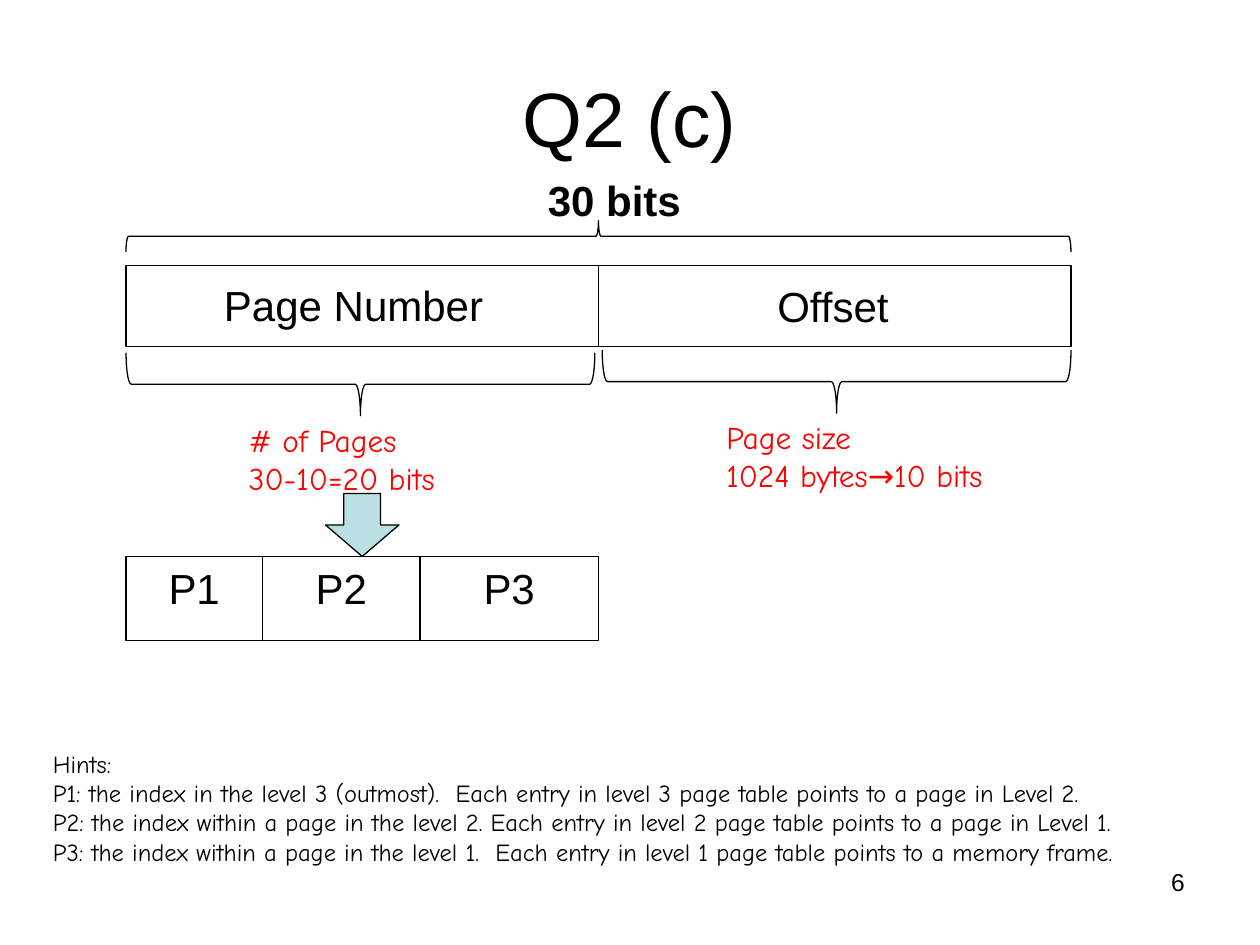
import itertools

import pptx
import pptx.dml.color
import pptx.enum.shapes
import pptx.enum.text
import pptx.oxml
import pptx.util

BLACK = pptx.dml.color.RGBColor(0x00, 0x00, 0x00)
RED = pptx.dml.color.RGBColor(0xFF, 0x00, 0x00)
TEAL = pptx.dml.color.RGBColor(0xBB, 0xE0, 0xE3)
SANS = "Arial"
HAND = "Comic Neue"
SHAPE = pptx.enum.shapes.MSO_SHAPE
ALIGN = pptx.enum.text.PP_ALIGN
ANCHOR = pptx.enum.text.MSO_ANCHOR
EFFECTS = ('<a:effectLst xmlns:a='
           '"http://schemas.openxmlformats.org/drawingml/2006/main"/>')


def grid(*cells):
    """Turn counts of grid cells, twelve to the inch, into lengths."""
    return [pptx.util.Inches(n / 12) for n in cells]


def write(tf, lines, size, font=SANS, color=BLACK, bold=False,
          align=ALIGN.LEFT, anchor=ANCHOR.TOP, wrap=False):
    """Fill a text frame with one paragraph per line."""
    tf.word_wrap = wrap
    tf.vertical_anchor = anchor
    for i, line in enumerate(lines):
        p = tf.add_paragraph() if i else tf.paragraphs[0]
        p.text = line
        p.alignment = align
        p.font.size = pptx.util.Pt(size)
        p.font.name = font
        p.font.bold = bold
        p.font.color.rgb = color


def add_text(s, box, lines, size, **style):
    """Add a text box."""
    write(s.shapes.add_textbox(*grid(*box)).text_frame, lines, size, **style)


def add_outline(s, kind, box, fill=None):
    """Add a preset shape with a thin black outline."""
    sp = s.shapes.add_shape(kind, *grid(*box))
    sp.shadow.inherit = False
    sp.line.color.rgb = BLACK
    sp.line.width = pptx.util.Pt(0.75)
    if fill is None:
        sp.fill.background()
    else:
        sp.fill.solid()
        sp.fill.fore_color.rgb = fill
    return sp


def add_brace(s, left, top, width, height, rotation):
    """Add a horizontal brace that covers the given box once turned."""
    shift = (width - height) / 2
    sp = add_outline(s, SHAPE.RIGHT_BRACE,
                     (left + shift, top - shift, height, width))
    sp.rotation = rotation
    sp.adjustments[0] = 0.083


def add_divider(s, x, top, bottom):
    """Add a thin vertical line."""
    line = s.shapes.add_connector(
        pptx.enum.shapes.MSO_CONNECTOR.STRAIGHT, *grid(x, top, x, bottom))
    line.line.color.rgb = BLACK
    line.line.width = pptx.util.Pt(0.75)
    line._element.spPr.append(pptx.oxml.parse_xml(EFFECTS))


def add_address(s):
    """Draw the address bar with its two fields and the total width."""
    add_brace(s, 12, 21, 90, 3, 270)
    add_text(s, (51, 16, 15.25, 6.1), ["30 bits"], 24, bold=True)
    add_outline(s, SHAPE.RECTANGLE, (12, 25.3, 90, 7.7))
    add_divider(s, 57, 25.3, 33)
    add_text(s, (20.15, 26.05, 27.35, 6), ["Page Number"], 24)
    add_text(s, (72.85, 26.15, 13.1, 6), ["Offset"], 24)


def add_field_notes(s):
    """Explain the size of each field below its brace."""
    notes = [
        (12, 33.6, 22.5, 22.3, ["# of Pages", "30-10=20 bits"]),
        (57.35, 33.35, 68, 30.85, ["Page size", "1024 bytes→10 bits"]),
    ]
    for left, top, x, width, lines in notes:
        add_brace(s, left, top, 44.65, 6, 90)
        add_text(s, (x, top + 5.9, width, 8.5), lines, 18,
                 font=HAND, color=RED)


def add_levels(s):
    """Split the page number into one cell per page table level."""
    add_outline(s, SHAPE.DOWN_ARROW, (31, 47, 7, 6), TEAL)
    widths = [13, 15, 17]
    lefts = itertools.accumulate(widths, initial=12)
    for name, left, width in zip(["P1", "P2", "P3"], lefts, widths):
        sp = add_outline(s, SHAPE.RECTANGLE, (left, 53, width, 8))
        write(sp.text_frame, [name], 24, align=ALIGN.CENTER, wrap=True)


def main():
    """Build the slide."""
    prs = pptx.Presentation()
    prs.slide_width, prs.slide_height = grid(120, 90)
    s = prs.slides.add_slide(prs.slide_layouts[6])
    add_text(s, (6, 3.6, 108, 15), ["Q2 (c)"], 44, align=ALIGN.CENTER,
             anchor=ANCHOR.MIDDLE, wrap=True)
    add_address(s)
    add_field_notes(s)
    add_levels(s)
    add_text(s, (3.85, 70.7, 112.45, 12.5), [
        "Hints:",
        "P1: the index in the level 3 (outmost).  Each entry in level 3 "
        "page table points to a page in Level 2.",
        "P2: the index within a page in the level 2. Each entry in level 2 "
        "page table points to a page in Level 1.",
        "P3: the index within a page in the level 1.  Each entry in level 1 "
        "page table points to a memory frame.",
    ], 14, font=HAND)
    add_text(s, (86, 82, 28, 6.25), ["6"], 14, align=ALIGN.RIGHT, wrap=True)
    prs.save("out.pptx")


if __name__ == "__main__":
    main()
